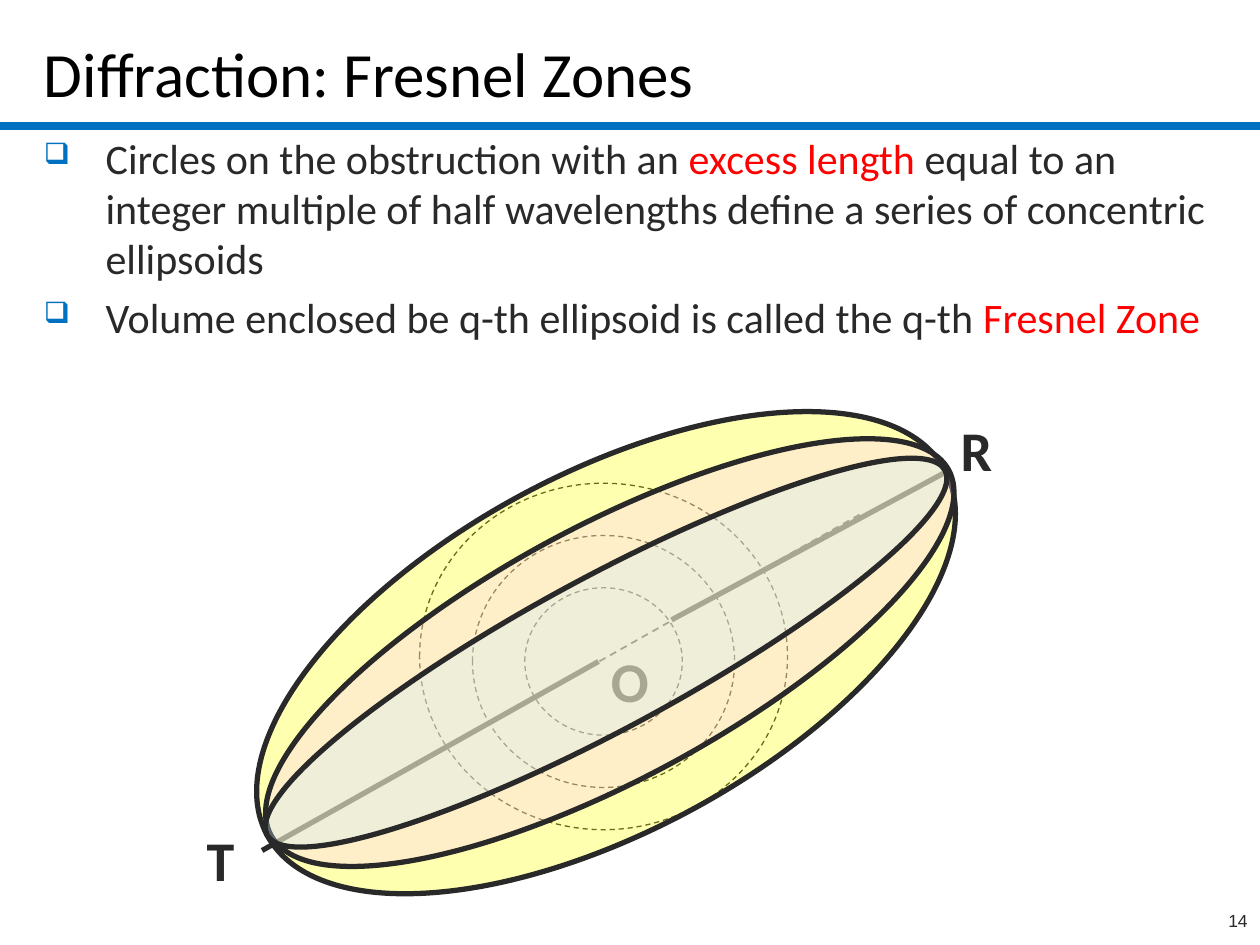
from lxml import etree
from pptx import Presentation
from pptx.dml.color import RGBColor
from pptx.enum import dml, shapes, text
from pptx.oxml.ns import qn
from pptx.util import Inches, Pt

INK, BLUE, RED = "292929", "0070C0", "FF0000"
TITLE = "Diffraction: Fresnel Zones"
BULLETS = [
    [("Circles on the obstruction with an ", INK), ("excess length ", RED),
     ("equal to an integer multiple of half wavelengths define a series of "
      "concentric ellipsoids", INK)],
    [("Volume enclosed be q-th ellipsoid is called the q-th ", INK),
     ("Fresnel Zone", RED)],
]
# Figure: start, end, weight, dashed
PATHS = [((2.08, 6.75), (4.75, 5.25), 3, False),
         ((5.33, 4.92), (7.5, 3.75), 3, False),
         ((4.17, 5.58), (6.83, 4.08), 1, True)]
LABELS = [("T", 1.5, 6.5, 0.5), ("R", 7.5, 3.25, 0.5), ("O", 4.75, 5.08, 0.33)]
# Centre, width, height
CIRCLES = [(4.79, 5.25, 1.25, 1.17), (4.79, 5.25, 2.08, 2),
           (4.79, 5.21, 2.92, 2.75)]
# Centre x, height, fill
ZONES = [(4.81, 2.84, "FFFF00"), (4.84, 2.01, "FFCCFF"), (4.81, 1.21, "CCECFF")]
ZONE_Y, ZONE_W, ZONE_TURN, ZONE_ALPHA = 5.18, 6.11, 331.7, 31

prs = Presentation()
prs.slide_width, prs.slide_height = Inches(10), Inches(7.5)
slide = prs.slides.add_slide(prs.slide_layouts[6])


def rgb(hex_):
    return RGBColor.from_string(hex_)


def add(parent, tag, **attrs):
    return etree.SubElement(parent, qn(tag), attrs)


def set_line(line, color, weight, dashed=False):
    line.color.rgb, line.width = rgb(color), Pt(weight)
    if dashed:
        line.dash_style = dml.MSO_LINE.DASH


def add_line(start, end, color, weight, dashed=False):
    c = slide.shapes.add_connector(shapes.MSO_CONNECTOR.STRAIGHT,
                                   *map(Inches, start + end))
    set_line(c.line, color, weight, dashed)
    add(c._element.spPr, "a:effectLst")


def add_ellipse(cx, cy, w, h, weight, dashed=False, fill=None, turn=0):
    sp = slide.shapes.add_shape(shapes.MSO_SHAPE.OVAL,
                                *map(Inches, (cx - w / 2, cy - h / 2, w, h)))
    sp.shadow.inherit = False
    sp.rotation = turn
    set_line(sp.line, INK, weight, dashed)
    if fill:
        sp.fill.solid()
        sp.fill.fore_color.rgb = rgb(fill)
        color = sp._element.spPr.find(qn("a:solidFill"))[0]
        add(color, "a:alpha", val=str(ZONE_ALPHA * 1000))
    else:
        sp.fill.background()


def add_text(box, paragraphs, align="LEFT", anchor="TOP", **font):
    tf = slide.shapes.add_textbox(*map(Inches, box)).text_frame
    tf.word_wrap = True
    tf.vertical_anchor = text.MSO_ANCHOR[anchor]
    for i, runs in enumerate(paragraphs):
        p = tf.add_paragraph() if i else tf.paragraphs[0]
        p.alignment = text.PP_ALIGN[align]
        for words, color in runs:
            r = p.add_run()
            r.text = words
            r.font.color.rgb = rgb(color)
            for key, value in ({"name": "Calibri"} | font).items():
                setattr(r.font, key, value)
    return tf


# Header rule, title and page number
add_line((0, 1), (10, 1), BLUE, 5)
add_text((0.25, 0.11, 9.5, 0.81), [[(TITLE, "000000")]], anchor="BOTTOM",
         size=Pt(36))
add_text((7.92, 7.17, 2.08, 0.33), [[("14", INK)]], align="RIGHT",
         name="Arial", size=Pt(10))

# Bulleted text
body = add_text((0.25, 1, 9.5, 1), BULLETS, size=Pt(24))
for p in body.paragraphs:
    p.space_before = Pt(4.8)
    pPr = p._p.get_or_add_pPr()
    pPr.set("marL", str(Inches(0.49)))
    pPr.set("indent", str(-Inches(0.49)))
    add(add(pPr, "a:buClr"), "a:srgbClr", val=BLUE)
    add(pPr, "a:buSzPct", val="70000")
    add(pPr, "a:buChar", char="❑")

# Sight line, labels and circles, then the translucent zones over them
for start, end, weight, dashed in PATHS:
    add_line(start, end, INK, weight, dashed)
for name, x, y, w in LABELS:
    add_text((x, y, w, 0.64), [[(name, INK)]], align="CENTER",
             size=Pt(32), bold=True)
for circle in CIRCLES:
    add_ellipse(*circle, 0.75, dashed=True)
for cx, h, fill in ZONES:
    add_ellipse(cx, ZONE_Y, ZONE_W, h, 3, fill=fill, turn=ZONE_TURN)

prs.save("out.pptx")
